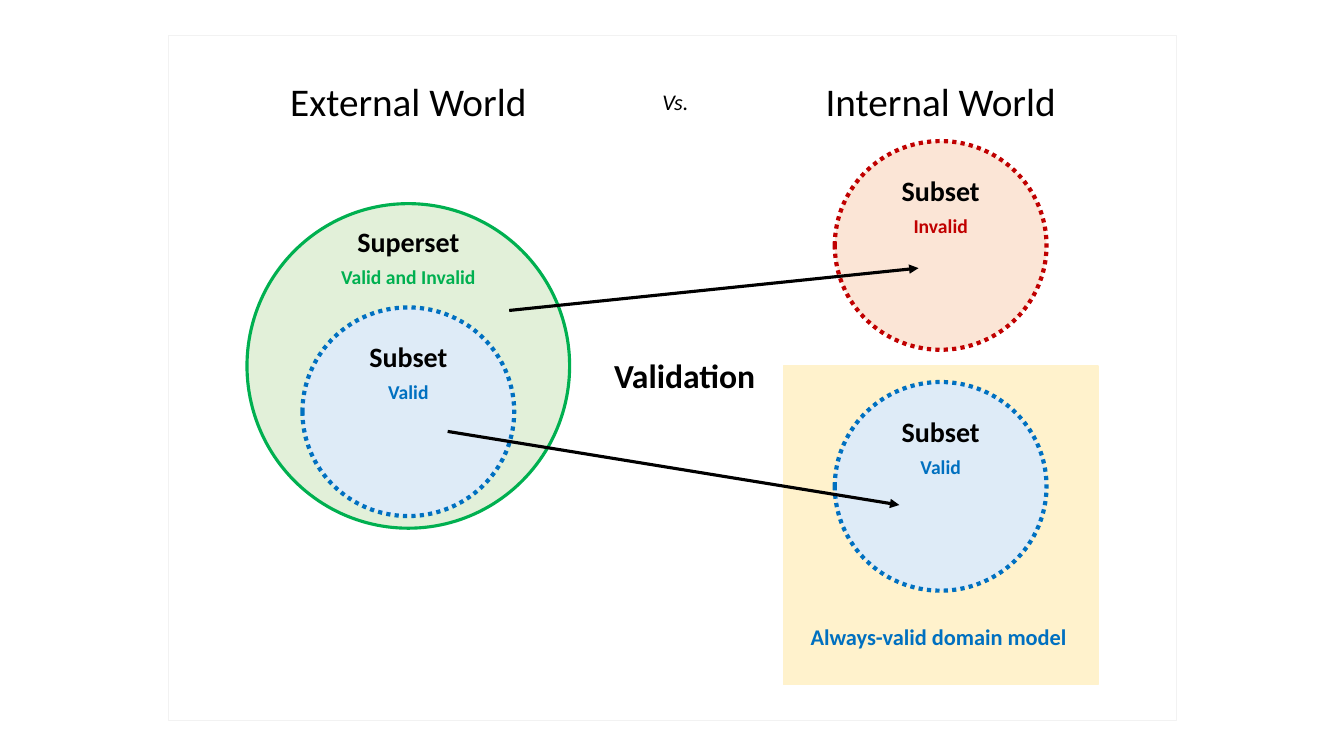
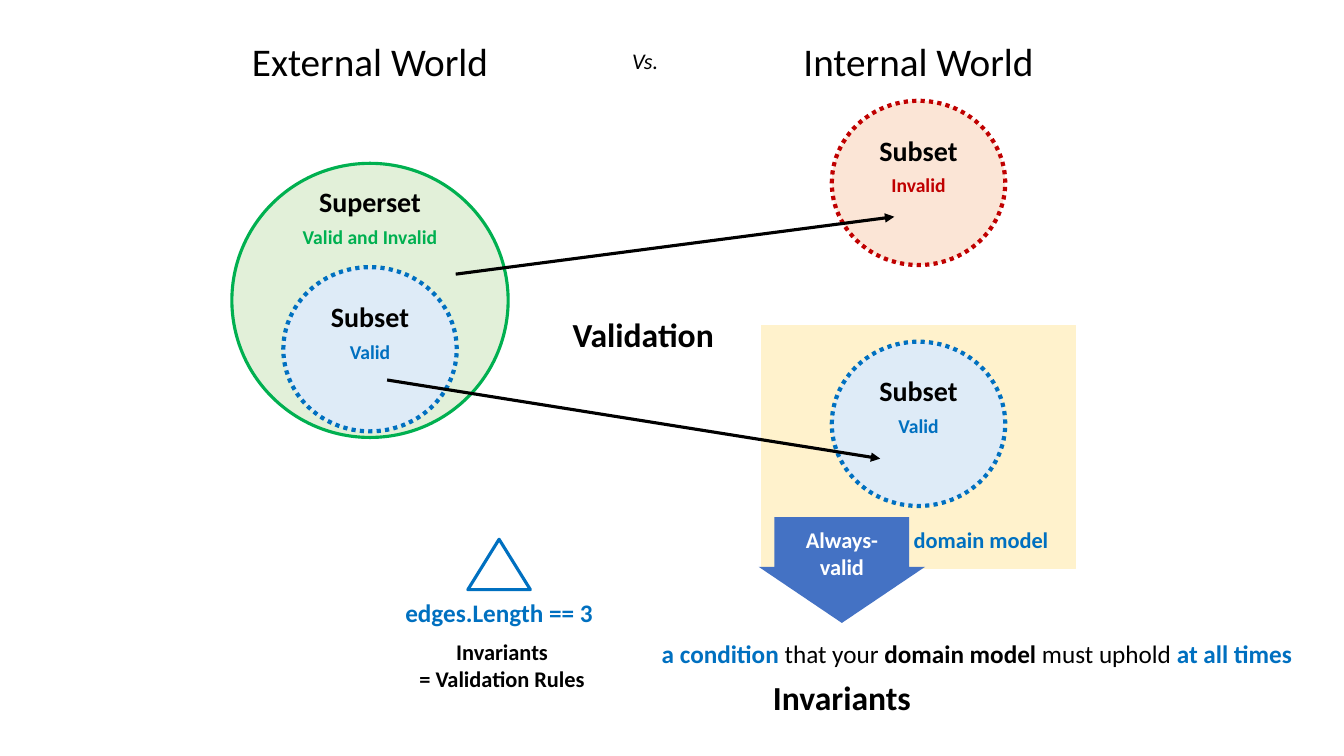
from dataclasses import dataclass

from lxml import etree
from pptx import Presentation
from pptx.dml.color import RGBColor
from pptx.enum import dml, shapes, text
from pptx.oxml import ns
from pptx.shapes.autoshape import Shape
from pptx.slide import Slide
from pptx.util import Inches, Pt

Point = tuple[float, float]
Span = tuple[str, str, bool]  # wording, colour, bold


@dataclass(frozen=True)
class Theme:
    font: str = "Calibri"
    black: str = "000000"
    white: str = "FFFFFF"
    green: str = "00B050"
    blue: str = "0070C0"
    red: str = "C00000"
    pale_green: str = "E2F0D9"
    pale_blue: str = "DEEBF7"
    pale_red: str = "FBE5D6"
    sand: str = "FFF2CC"
    frame: str = "F2F2F2"
    block_arrow: str = "4472C4"
    heading: int = 28
    keyword: int = 24
    set_name: int = 20
    rule: int = 18
    note: int = 16
    caption: int = 14
    hairline: float = 1
    outline: float = 2.25
    dotted: float = 3


THEME = Theme()


@dataclass(frozen=True)
class SetCircle:
    center_x: float
    top: float
    width: float
    height: float
    name: str
    caption: str
    fill: str
    color: str
    dotted: bool = True
    name_offset: float = 0.27


@dataclass(frozen=True)
class Diagram:
    """What differs between the two versions of the validation diagram."""
    top: float
    external_x: float
    internal_x: float
    versus_x: float
    validation_x: float
    superset_size: Point
    subset_size: Point
    domain_height: float
    arrows: tuple[tuple[Point, Point], ...]


DIAGRAMS = (
    Diagram(0.72, 4.05, 9.33, 6.7, 6.79, (3.2, 3.22), (2.1, 2.07), 3.16,
            (((4.44, 4.28), (8.92, 5.01)), ((5.05, 3.08), (9.11, 2.66)))),
    Diagram(0.32, 3.67, 9.11, 6.4, 6.38, (2.74, 2.72), (1.72, 1.63), 2.41,
            (((3.84, 3.77), (8.73, 4.55)), ((4.52, 2.72), (8.87, 2.15)))),
)


# Drawing helpers
def rgb(color: str) -> RGBColor:
    return RGBColor.from_string(color)


def add_figure(slide: Slide, kind: shapes.MSO_SHAPE, center_x: float, top: float,
               width: float, height: float, fill: str | None = None,
               line: str | None = None, weight: float = THEME.hairline,
               dotted: bool = False) -> Shape:
    shape = slide.shapes.add_shape(kind, Inches(center_x - width / 2), Inches(top),
                                   Inches(width), Inches(height))
    shape.shadow.inherit = False
    if fill:
        shape.fill.solid()
        shape.fill.fore_color.rgb = rgb(fill)
    else:
        shape.fill.background()
    if line:
        shape.line.color.rgb = rgb(line)
        shape.line.width = Pt(weight)
        if dotted:
            shape.line.dash_style = dml.MSO_LINE.ROUND_DOT
    else:
        shape.line.fill.background()
    return shape


def add_text_box(slide: Slide, center_x: float, top: float, width: float,
                 size: int, lines: int = 1) -> Shape:
    height = lines * size * 1.2 / 72 + 0.1
    box = slide.shapes.add_textbox(Inches(center_x - width / 2), Inches(top),
                                   Inches(width), Inches(height))
    box.text_frame.word_wrap = False
    box.text_frame.auto_size = text.MSO_AUTO_SIZE.SHAPE_TO_FIT_TEXT
    return box


def add_label(slide: Slide, wording: str, center_x: float, top: float, width: float,
              size: int, color: str = THEME.black, bold: bool = True,
              italic: bool = False) -> None:
    lines = wording.split("\n")
    box = add_text_box(slide, center_x, top, width, size, len(lines))
    box.text_frame.text = wording
    for paragraph in box.text_frame.paragraphs:
        paragraph.alignment = text.PP_ALIGN.CENTER
        font = paragraph.font
        font.name, font.size = THEME.font, Pt(size)
        font.bold, font.italic = bold, italic
        font.color.rgb = rgb(color)


def add_sentence(slide: Slide, spans: tuple[Span, ...], center_x: float, top: float,
                 width: float, size: int) -> None:
    frame = add_text_box(slide, center_x, top, width, size).text_frame
    frame.word_wrap = True
    paragraph = frame.paragraphs[0]
    paragraph.font.name, paragraph.font.size = THEME.font, Pt(size)
    for wording, color, bold in spans:
        run = paragraph.add_run()
        run.text = wording
        run.font.bold = bold
        run.font.color.rgb = rgb(color)


def add_arrow(slide: Slide, start: Point, end: Point) -> None:
    arrow = slide.shapes.add_connector(shapes.MSO_CONNECTOR.STRAIGHT,
                                       *(Inches(value) for value in start + end))
    arrow.line.color.rgb = rgb(THEME.black)
    arrow.line.width = Pt(THEME.outline)
    properties = arrow.element.spPr
    etree.SubElement(properties.find(ns.qn("a:ln")), ns.qn("a:tailEnd"), type="triangle")
    etree.SubElement(properties, ns.qn("a:effectLst"))


def add_set(slide: Slide, circle: SetCircle) -> None:
    add_figure(slide, shapes.MSO_SHAPE.OVAL, circle.center_x, circle.top,
               circle.width, circle.height, circle.fill, circle.color,
               THEME.dotted if circle.dotted else THEME.outline, circle.dotted)
    name_top = circle.top + circle.name_offset
    add_label(slide, circle.name, circle.center_x, name_top, 1.22, THEME.set_name)
    add_label(slide, circle.caption, circle.center_x, name_top + 0.4, 1.55,
              THEME.caption, circle.color)


def add_diagram(slide: Slide, diagram: Diagram) -> None:
    top, external_x, internal_x = diagram.top, diagram.external_x, diagram.internal_x
    # Domain model panel
    add_figure(slide, shapes.MSO_SHAPE.RECTANGLE, internal_x, top + 2.91, 3.12,
               diagram.domain_height, THEME.sand, THEME.sand)
    # Sets on both sides
    subset = diagram.subset_size
    circles = (
        SetCircle(external_x, top + 1.3, *diagram.superset_size, "Superset",
                  "Valid and Invalid", THEME.pale_green, THEME.green, False, 0.16),
        SetCircle(external_x, top + 2.33, *subset, "Subset", "Valid",
                  THEME.pale_blue, THEME.blue),
        SetCircle(internal_x, top + 3.07, *subset, "Subset", "Valid",
                  THEME.pale_blue, THEME.blue),
        SetCircle(internal_x, top + 0.68, *subset, "Subset", "Invalid",
                  THEME.pale_red, THEME.red),
    )
    for circle in circles:
        add_set(slide, circle)
    for start, end in diagram.arrows:
        add_arrow(slide, start, end)
    # Headings
    add_label(slide, "Validation", diagram.validation_x, top + 2.75, 1.62, THEME.keyword)
    for heading, center_x in (("External World", external_x), ("Internal World", internal_x)):
        add_label(slide, heading, center_x, top, 2.57, THEME.heading, bold=False)
    add_label(slide, "Vs.", diagram.versus_x, top + 0.1, 0.46, THEME.note,
              bold=False, italic=True)


# Parts found on one slide only
def add_model_name_and_frame(slide: Slide) -> None:
    add_label(slide, "Always-valid domain model", 9.31, 6.13, 2.77, THEME.note, THEME.blue)
    add_figure(slide, shapes.MSO_SHAPE.RECTANGLE, 6.67, 0.35, 10, 6.8, line=THEME.frame)


def add_invariants(slide: Slide) -> None:
    # Arrow from the model name to its definition
    arrow_x = 8.35
    block_arrow = add_figure(slide, shapes.MSO_SHAPE.DOWN_ARROW, arrow_x, 5.13, 1.65, 1.05,
                             THEME.block_arrow)
    block_arrow.adjustments[0] = 0.81
    block_arrow.adjustments[1] = 0.53
    add_label(slide, "Always-valid", arrow_x, 5.17, 1.35, THEME.note, THEME.white)
    add_label(slide, "domain model", 9.73, 5.17, 1.55, THEME.note, THEME.blue)
    add_sentence(slide, (
        ("a condition ", THEME.blue, True),
        ("that your ", THEME.black, False),
        ("domain model ", THEME.black, True),
        ("must uphold ", THEME.black, False),
        ("at all times", THEME.blue, True),
    ), 9.7, 6.28, 6.47, THEME.rule)
    add_label(slide, "Invariants", arrow_x, 6.67, 1.59, THEME.keyword)
    # Triangle example
    triangle_x = 4.95
    add_figure(slide, shapes.MSO_SHAPE.ISOSCELES_TRIANGLE, triangle_x, 5.35, 0.62, 0.5,
               line=THEME.blue, weight=THEME.outline)
    add_label(slide, "edges.Length == 3", triangle_x, 5.88, 2.06, THEME.rule, THEME.blue)
    add_label(slide, "Invariants\n= Validation Rules", 4.98, 6.28, 1.86, THEME.note)


def main() -> None:
    presentation = Presentation()
    presentation.slide_width, presentation.slide_height = Inches(13.33), Inches(7.5)
    blank_layout = presentation.slide_layouts[6]
    for diagram, add_details in zip(DIAGRAMS, (add_model_name_and_frame, add_invariants)):
        slide = presentation.slides.add_slide(blank_layout)
        add_diagram(slide, diagram)
        add_details(slide)
    presentation.save("out.pptx")


if __name__ == "__main__":
    main()
